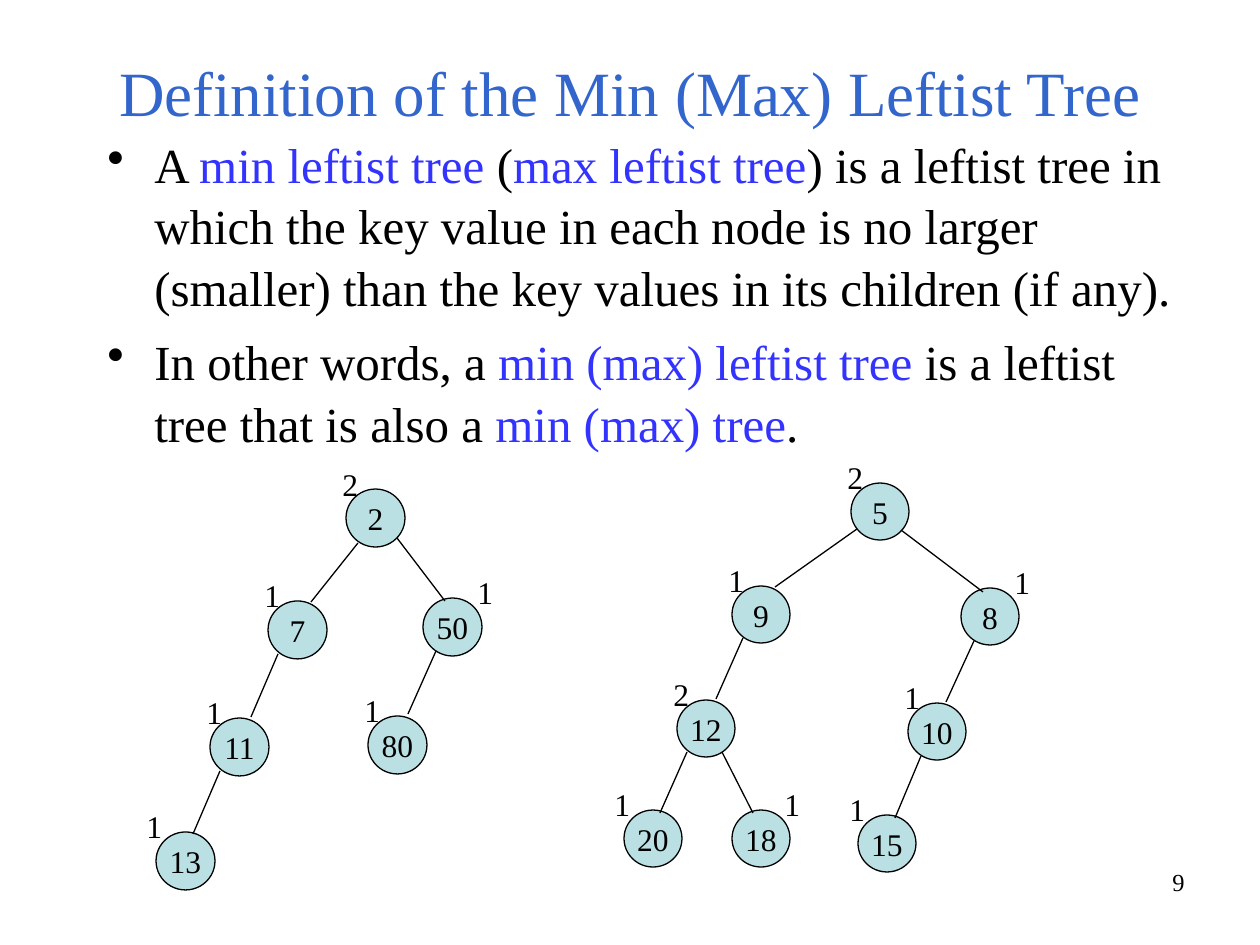
from typing import NamedTuple, Optional

import lxml.etree
import pptx
import pptx.dml.color
import pptx.enum.shapes
import pptx.enum.text
import pptx.oxml.ns
import pptx.util

PX = 914400 / 126
FONT = "Times New Roman"
HUES = {"ink": "000000", "title": "3366CC", "term": "3333FF", "node": "BBE0E3"}
ALIGN = pptx.enum.text.PP_ALIGN
ANCHOR = pptx.enum.text.MSO_ANCHOR


class Edge(NamedTuple):
    x1: int
    y1: int
    x2: int
    y2: int


class Node(NamedTuple):
    key: int
    x: int
    y: int
    rank: int
    edge: Optional[Edge] = None  # line down from the parent
    dx: int = -16  # offset of the rank label
    dy: int = -31


class Tree(NamedTuple):
    width: int
    height: int
    nodes: list[Node]


TREES = [
    Tree(59, 58, [
        Node(2, 346, 489, 2, dy=-30),
        Node(7, 268, 601, 1, Edge(358, 543, 311, 602)),
        Node(50, 423, 598, 1, Edge(397, 538, 445, 601), dx=42),
        Node(11, 210, 718, 1, Edge(278, 654, 251, 717)),
        Node(80, 368, 716, 1, Edge(436, 651, 408, 714)),
        Node(13, 156, 832, 1, Edge(220, 771, 193, 834), dx=-22),
    ]),
    Tree(58, 57, [
        Node(5, 851, 483, 2),
        Node(9, 732, 586, 1, Edge(857, 529, 775, 587)),
        Node(8, 961, 588, 1, Edge(901, 530, 983, 592), dx=41),
        Node(12, 677, 700, 2, Edge(743, 638, 716, 699)),
        Node(10, 908, 703, 1, Edge(974, 641, 946, 702)),
        Node(20, 624, 810, 1, Edge(687, 752, 660, 813), dx=-22),
        Node(18, 732, 810, 1, Edge(722, 752, 753, 813), dx=40),
        Node(15, 858, 815, 1, Edge(921, 756, 895, 818), dx=-21),
    ]),
]

# Odd pieces are defined terms.
POINTS = [
    ["A ", "min leftist tree ", "(", "max leftist tree",
     ") is a leftist tree in which the key value in each node is no larger "
     "(smaller) than the key values in its children (if any)."],
    ["In other words, a ", "min (max) leftist tree ",
     "is a leftist tree that is also a ", "min (max) tree", "."],
]


def emu(*sizes: int) -> list[int]:
    return [round(size * PX) for size in sizes]


def rgb(name: str) -> pptx.dml.color.RGBColor:
    return pptx.dml.color.RGBColor.from_string(HUES[name])


def style(font, size: int, hue: str = "ink") -> None:
    font.name = FONT
    font.size = pptx.util.Pt(size)
    font.color.rgb = rgb(hue)


def label(slide, box: tuple, text: str, size: int, hue: str = "ink",
          align=ALIGN.LEFT, anchor=ANCHOR.TOP) -> None:
    frame = slide.shapes.add_textbox(*emu(*box)).text_frame
    frame.word_wrap = True
    frame.vertical_anchor = anchor
    frame.text = text
    frame.paragraphs[0].alignment = align
    style(frame.paragraphs[0].runs[0].font, size, hue)


def bullet(para) -> None:
    props = para._p.get_or_add_pPr()
    indent, = emu(47)
    props.set("marL", str(indent))
    props.set("indent", str(-indent))
    mark = lxml.etree.SubElement(props, pptx.oxml.ns.qn("a:buChar"))
    mark.set("char", "•")


def body(slide) -> None:
    frame = slide.shapes.add_textbox(*emu(95, 125, 1114, 694)).text_frame
    frame.word_wrap = True
    for i, parts in enumerate(POINTS):
        para = frame.add_paragraph() if i else frame.paragraphs[0]
        bullet(para)
        para.line_spacing = 1.05
        if i:
            para.space_before = pptx.util.Pt(7)
        for j, part in enumerate(parts):
            run = para.add_run()
            run.text = part
            style(run.font, 28, "term" if j % 2 else "ink")


def link(slide, edge: Edge) -> None:
    line = slide.shapes.add_connector(
        pptx.enum.shapes.MSO_CONNECTOR.STRAIGHT, *emu(*edge))
    line.line.color.rgb = rgb("ink")
    line.line.width = pptx.util.Pt(0.75)
    lxml.etree.SubElement(line._element.spPr, pptx.oxml.ns.qn("a:effectLst"))


def circle(slide, node: Node, width: int, height: int) -> None:
    shape = slide.shapes.add_shape(
        pptx.enum.shapes.MSO_SHAPE.OVAL, *emu(node.x, node.y, width, height))
    shape.shadow.inherit = False
    shape.fill.solid()
    shape.fill.fore_color.rgb = rgb("node")
    shape.line.color.rgb = rgb("ink")
    shape.line.width = pptx.util.Pt(0.75)
    frame = shape.text_frame
    frame.word_wrap = False
    frame.vertical_anchor = ANCHOR.MIDDLE
    frame.text = str(node.key)
    frame.paragraphs[0].alignment = ALIGN.CENTER
    style(frame.paragraphs[0].runs[0].font, 18)


def draw(slide, tree: Tree) -> None:
    for node in tree.nodes:
        circle(slide, node, tree.width, tree.height)
        if node.edge:
            link(slide, node.edge)
        box = (node.x + node.dx, node.y + node.dy, 36, 50)
        label(slide, box, str(node.rank), 18)


def main() -> None:
    deck = pptx.Presentation()
    deck.slide_width, deck.slide_height = emu(1260, 945)
    slide = deck.slides.add_slide(deck.slide_layouts[6])
    label(slide, (903, 861, 294, 66), "9", 14, align=ALIGN.RIGHT)
    label(slide, (54, 44, 1152, 91), "Definition of the Min (Max) Leftist Tree",
          36, "title", ALIGN.CENTER, ANCHOR.BOTTOM)
    body(slide)
    for tree in TREES:
        draw(slide, tree)
    deck.save("out.pptx")


if __name__ == "__main__":
    main()
